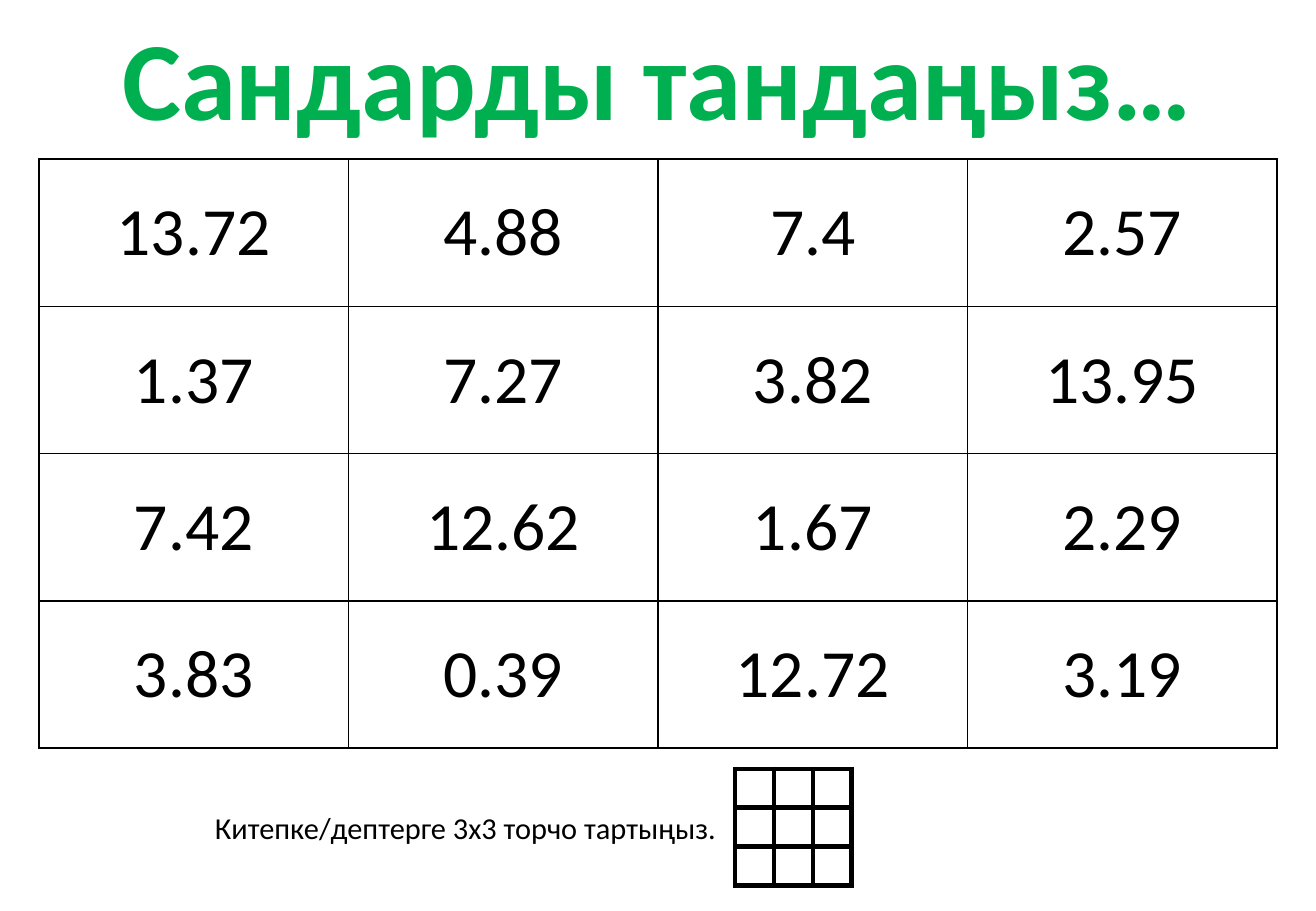
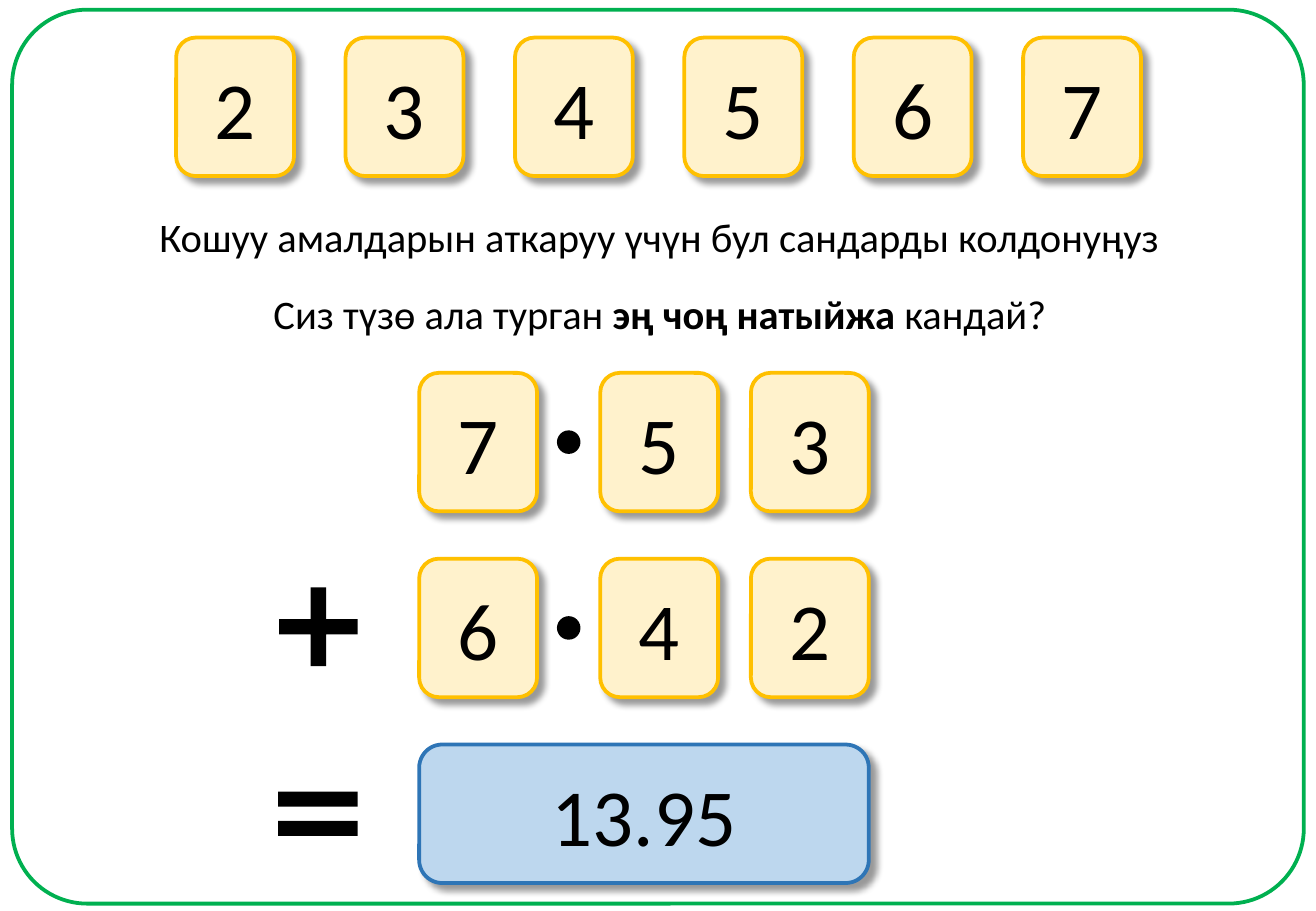
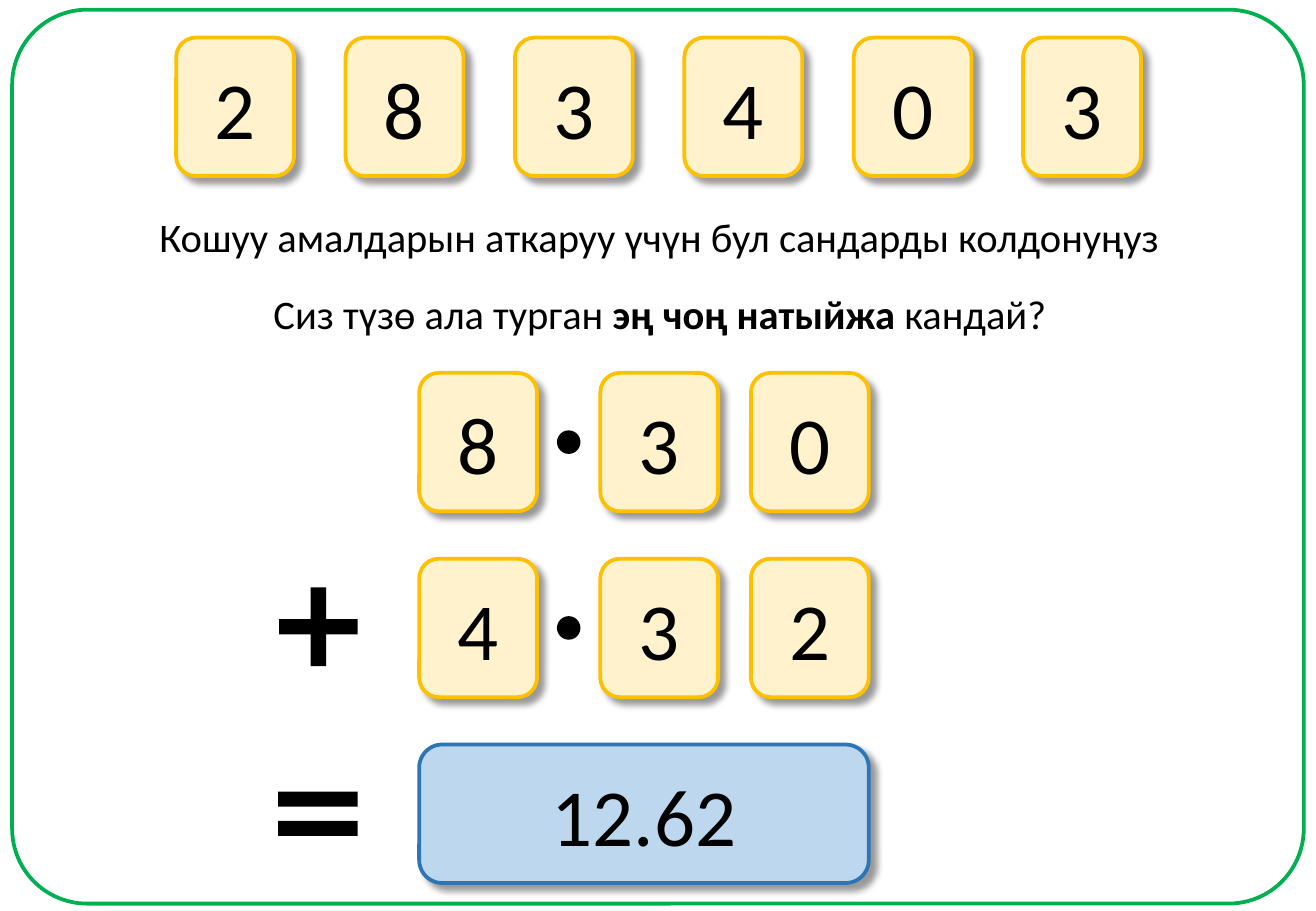
from lxml import etree
from pptx import Presentation
from pptx.dml.color import RGBColor
from pptx.enum.shapes import MSO_SHAPE
from pptx.enum.text import MSO_ANCHOR, MSO_AUTO_SIZE, PP_ALIGN
from pptx.oxml import parse_xml
from pptx.oxml.ns import nsdecls, qn
from pptx.util import Inches, Pt

ROUNDED = MSO_SHAPE.ROUNDED_RECTANGLE
OVAL = MSO_SHAPE.OVAL
PLUS = MSO_SHAPE.MATH_PLUS
EQUAL = MSO_SHAPE.MATH_EQUAL
MIDDLE = MSO_ANCHOR.MIDDLE
NO_AUTOFIT = MSO_AUTO_SIZE.NONE
LEFT, CENTER = PP_ALIGN.LEFT, PP_ALIGN.CENTER

FONT = "Calibri"
BLACK = RGBColor(0, 0, 0)
WHITE = RGBColor(255, 255, 255)
GREEN = RGBColor(0x00, 0xB0, 0x50)
CREAM = RGBColor(0xFF, 0xF2, 0xCC)
GOLD = RGBColor(0xFF, 0xC0, 0x00)
PALE_BLUE = RGBColor(0xBD, 0xD7, 0xEE)
BLUE = RGBColor(0x2E, 0x75, 0xB6)

TITLE = "Сандарды тандаңыз…"
NUMBERS = [
    ["13.72", "4.88", "7.4", "2.57"],
    ["1.37", "7.27", "3.82", "13.95"],
    ["7.42", "12.62", "1.67", "2.29"],
    ["3.83", "0.39", "12.72", "3.19"],
]
GRID_HINT = "Китепке/дептерге 3х3 торчо тартыңыз."
EMPTY_GRID = [[""] * 3 for _ in range(3)]

INSTRUCTION = [("Кошуу амалдарын аткаруу үчүн бул сандарды колдонуңуз", False)]
QUESTION = [
    ("Сиз түзө ала турган ", False),
    ("эң чоң натыйжа ", True),
    ("кандай?", False),
]
PUZZLES = [
    {"digits": "234567", "addends": ["753", "642"], "total": "13.95"},
    {"digits": "283403", "addends": ["830", "432"], "total": "12.62"},
]

TILE_W, TILE_H = 0.97, 1.14
TRAY_LEFT, TRAY_LAST, TRAY_TOP = 1.45, 8.42, 0.31
DIGIT_LEFTS = [3.45, 4.94, 6.18]
SUM_TOP, SUM_PITCH = 3.07, 1.53
DOT_LEFT, DOT_DROP, DOT_SIZE = 4.59, 0.48, 0.18


def box(left, top, width, height):
    return [Inches(v) for v in (left, top, width, height)]


def style_runs(paragraph, size, color=BLACK, align=CENTER):
    paragraph.alignment = align
    for run in paragraph.runs:
        run.font.name = FONT
        run.font.size = Pt(size)
        run.font.color.rgb = color


def add_shape(slide, kind, place, fill=None, line=None, weight=2.25, adjust=()):
    shape = slide.shapes.add_shape(kind, *box(*place))
    shape.shadow.inherit = False
    if fill is None:
        shape.fill.background()
    else:
        shape.fill.solid()
        shape.fill.fore_color.rgb = fill
    if line is None:
        shape.line.fill.background()
    else:
        shape.line.color.rgb = line
        shape.line.width = Pt(weight)
    for index, value in enumerate(adjust):
        shape.adjustments[index] = value
    return shape


def add_tile(slide, text, left, top, width=TILE_W, fill=CREAM, line=GOLD):
    tile = add_shape(slide, ROUNDED, (left, top, width, TILE_H), fill, line)
    effects = tile._element.spPr.find(qn("a:effectLst"))
    shadow = etree.SubElement(
        effects, qn("a:outerShdw"), blurRad=str(Pt(4)), dist=str(Pt(5)),
        dir="2700000", algn="tl", rotWithShape="0")
    color = etree.SubElement(shadow, qn("a:srgbClr"), val=str(BLACK))
    etree.SubElement(color, qn("a:alpha"), val="40000")
    tile.text_frame.text = text
    tile.text_frame.vertical_anchor = MIDDLE
    style_runs(tile.text_frame.paragraphs[0], 48)


def add_line(slide, parts, place, size, align=CENTER):
    frame = slide.shapes.add_textbox(*box(*place)).text_frame
    frame.word_wrap = False
    paragraph = frame.paragraphs[0]
    for text, bold in parts:
        run = paragraph.add_run()
        run.text = text
        run.font.bold = bold
    style_runs(paragraph, size, align=align)


def add_grid(slide, rows, place, weight):
    table = slide.shapes.add_table(len(rows), len(rows[0]), *box(*place)).table
    table.first_row = table.horz_banding = False
    for r, row in enumerate(rows):
        for c, text in enumerate(row):
            cell = table.cell(r, c)
            cell.margin_left = cell.margin_right = 0
            cell.margin_top = cell.margin_bottom = 0
            cell.vertical_anchor = MIDDLE
            cell.fill.solid()
            cell.fill.fore_color.rgb = WHITE
            for index, side in enumerate(("lnL", "lnR", "lnT", "lnB")):
                cell._tc.tcPr.insert(index, parse_xml(
                    f'<a:{side} {nsdecls("a")} w="{Pt(weight)}"><a:solidFill>'
                    f'<a:srgbClr val="{BLACK}"/></a:solidFill></a:{side}>'))
            if text:
                cell.text_frame.text = text
                style_runs(cell.text_frame.paragraphs[0], 40)


def build_numbers(prs):
    slide = prs.slides.add_slide(prs.slide_layouts[5])
    title = slide.shapes.title
    title.left, title.top, title.width, title.height = box(0.79, 0.02, 9.24, 1.21)
    frame = title.text_frame
    frame.text = TITLE
    frame.word_wrap = False
    frame.auto_size = NO_AUTOFIT
    frame.vertical_anchor = MIDDLE
    style_runs(frame.paragraphs[0], 66, GREEN)
    frame.paragraphs[0].runs[0].font.bold = True
    add_grid(slide, NUMBERS, (0.32, 1.31, 10.19, 4.85), 1)
    add_grid(slide, EMPTY_GRID, (6.05, 6.33, 0.96, 0.96), 3)
    add_line(slide, [(GRID_HINT, False)], (1.67, 6.61, 4.38, 0.4), 18, LEFT)


def build_puzzle(prs, puzzle):
    slide = prs.slides.add_slide(prs.slide_layouts[6])
    add_shape(slide, ROUNDED, (0.1, 0.08, 10.63, 7.36), line=GREEN, adjust=[0.084])
    add_line(slide, INSTRUCTION, (1.17, 1.7, 8.51, 0.5), 24)
    add_line(slide, QUESTION, (2.12, 2.33, 6.62, 0.5), 24)

    pitch = (TRAY_LAST - TRAY_LEFT) / (len(puzzle["digits"]) - 1)
    for index, digit in enumerate(puzzle["digits"]):
        add_tile(slide, digit, TRAY_LEFT + index * pitch, TRAY_TOP)

    for row, addend in enumerate(puzzle["addends"]):
        top = SUM_TOP + row * SUM_PITCH
        for left, digit in zip(DIGIT_LEFTS, addend):
            add_tile(slide, digit, left, top)
        add_shape(slide, OVAL, (DOT_LEFT, top + DOT_DROP, DOT_SIZE, DOT_SIZE),
                  BLACK, BLACK, 1)

    total_top = SUM_TOP + len(puzzle["addends"]) * SUM_PITCH
    total_width = DIGIT_LEFTS[-1] + TILE_W - DIGIT_LEFTS[0]
    add_tile(slide, puzzle["total"], DIGIT_LEFTS[0], total_top, total_width,
             PALE_BLUE, BLUE)
    add_shape(slide, PLUS, (2.18, 4.72, 0.88, 0.88), BLACK, adjust=[0.144])
    add_shape(slide, EQUAL, (2.17, 6.2, 0.89, 1), BLACK, adjust=[0.123, 0.118])


def main():
    prs = Presentation()
    prs.slide_width, prs.slide_height = Inches(10.83), Inches(7.5)
    build_numbers(prs)
    for puzzle in PUZZLES:
        build_puzzle(prs, puzzle)
    prs.save("out.pptx")


if __name__ == "__main__":
    main()
